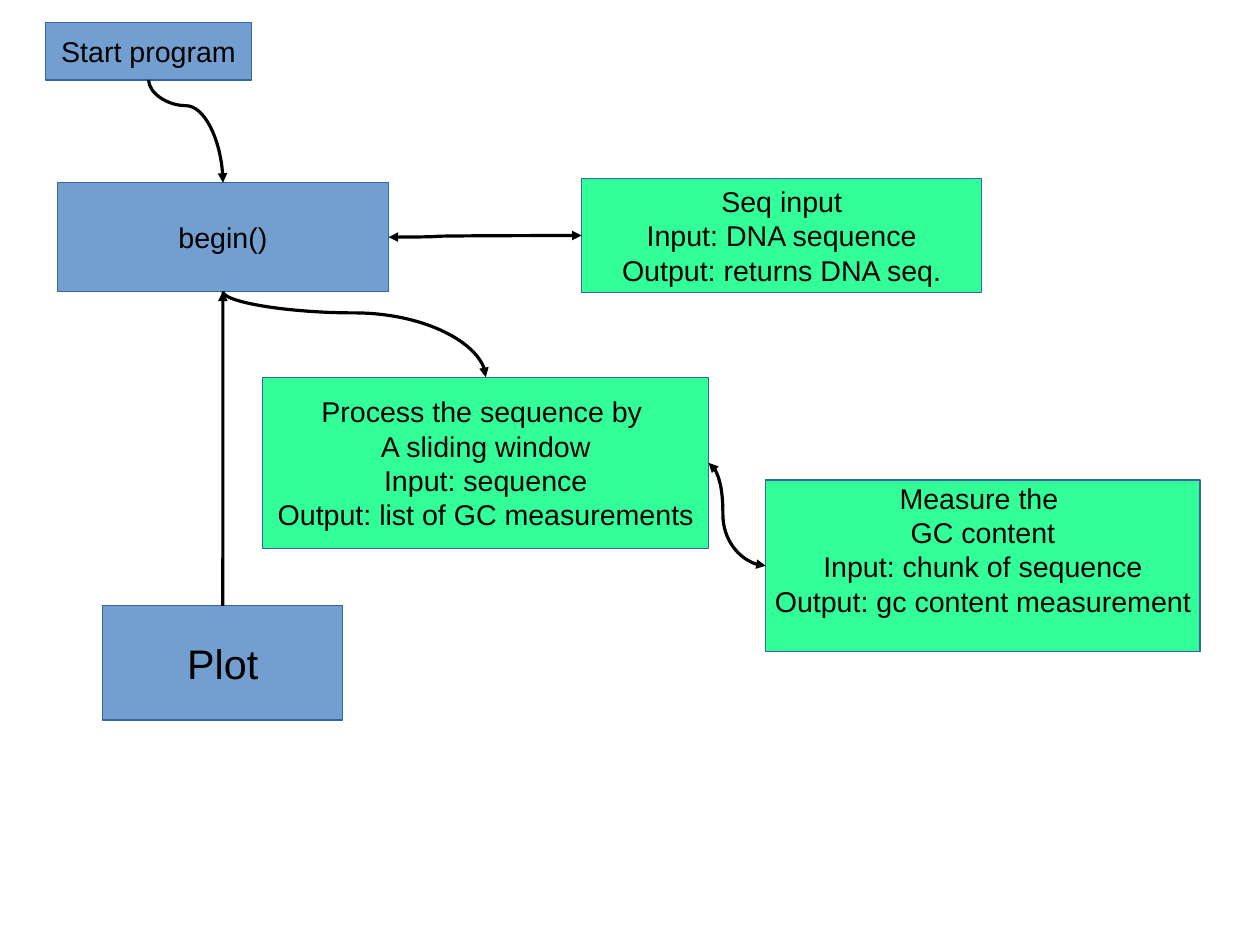
import dataclasses

import pptx
import pptx.dml.color
import pptx.enum.shapes
import pptx.enum.text
import pptx.oxml
import pptx.oxml.ns
import pptx.util

Pt = pptx.util.Pt
RGB = pptx.dml.color.RGBColor
qn = pptx.oxml.ns.qn
TOP, LEFT, BOTTOM, RIGHT = range(4)


@dataclasses.dataclass(frozen=True)
class Theme:
    font: str = "Arial"
    size: float = 18
    large: float = 26
    line_height: float = 20.7
    inset: float = 3.6
    text: RGB = RGB(0x00, 0x00, 0x00)
    main: RGB = RGB(0x72, 0x9F, 0xCF)
    function: RGB = RGB(0x33, 0xFF, 0x99)
    outline: RGB = RGB(0x34, 0x65, 0xA4)
    arrow: RGB = RGB(0x00, 0x00, 0x00)


class Flowchart:
    def __init__(self, slide, theme):
        self.s = slide
        self.theme = theme

    def box(self, lines, left, top, width, height, fill, size=None, lift=0):
        t = self.theme
        sp = self.s.shapes.add_shape(
            pptx.enum.shapes.MSO_SHAPE.RECTANGLE,
            Pt(left), Pt(top), Pt(width), Pt(height))
        sp.shadow.inherit = False
        sp.fill.solid()
        sp.fill.fore_color.rgb = fill
        sp.line.width = Pt(0)
        sp.line.color.rgb = t.outline
        tf = sp.text_frame
        tf.word_wrap = False
        tf.vertical_anchor = pptx.enum.text.MSO_ANCHOR.MIDDLE
        tf.margin_bottom = Pt(t.inset + lift)
        tf.text = "\n".join(lines)
        for p in tf.paragraphs:
            p.alignment = pptx.enum.text.PP_ALIGN.CENTER
            for r in p.runs:
                r.font.name = t.font
                r.font.size = Pt(size or t.size)
                r.font.color.rgb = t.text
        return sp

    def arrow(self, start, start_side, end, end_side, kind="CURVE", both=False):
        c = self.s.shapes.add_connector(
            pptx.enum.shapes.MSO_CONNECTOR[kind], 0, 0, 0, 0)
        c.begin_connect(start, start_side)
        c.end_connect(end, end_side)
        c.line.width = Pt(0)
        c.line.color.rgb = self.theme.arrow
        ln = c.line._ln
        for tag in ("a:headEnd", "a:tailEnd")[0 if both else 1:]:
            pptx.oxml.ns.qn(tag)
            ln.append(self.element(tag, type="triangle"))
        spPr = c._element.spPr
        spPr.append(self.element("a:effectLst"))
        if kind == "CURVE":
            spPr.find(qn("a:prstGeom")).find(qn("a:avLst")).append(
                self.element("a:gd", name="adj1", fmla="val 25000"))
            if start_side == BOTTOM:
                self.turn_down(c)
        return c

    def turn_down(self, c):
        dx, dy = c.end_x - c.begin_x, c.end_y - c.begin_y
        mid_x, mid_y = c.begin_x + dx // 2, c.begin_y + dy // 2
        c.left, c.top = mid_x - dy // 2, mid_y - dx // 2
        c.width, c.height = dy, dx
        xfrm = c._element.spPr.find(qn("a:xfrm"))
        xfrm.set("rot", "16200000")
        xfrm.set("flipH", "1")

    def element(self, tag, **attributes):
        el = pptx.oxml.parse_xml(
            f"<{tag} {pptx.oxml.ns.nsdecls('a')}/>")
        for name, value in attributes.items():
            el.set(name, value)
        return el


def main():
    prs = pptx.Presentation()
    prs.slide_width, prs.slide_height = Pt(793.7), Pt(595.28)
    t = Theme()
    chart = Flowchart(prs.slides.add_slide(prs.slide_layouts[6]), t)

    seq_input = chart.box(
        ["Seq input", "Input: DNA sequence", "Output: returns DNA seq."],
        366.4, 112.4, 252, 72, t.function)
    process = chart.box(
        ["Process the sequence by ", "A sliding window", "Input: sequence",
         "Output: list of GC measurements"],
        165.6, 237.6, 280.8, 108, t.function)
    measure = chart.box(
        ["Measure the ", "GC content", "Input: chunk of sequence",
         "Output: gc content measurement"],
        482.4, 302.4, 273.6, 108, t.function, lift=t.line_height)
    plot = chart.box(["Plot"], 64.8, 381.6, 151.2, 72, t.main, size=t.large)
    begin = chart.box(["begin()"], 36, 115.2, 208.8, 68.4, t.main)
    start = chart.box(["Start program"], 28.8, 14.4, 129.6, 36, t.main)

    chart.arrow(start, BOTTOM, begin, TOP)
    chart.arrow(begin, RIGHT, seq_input, LEFT, both=True)
    chart.arrow(begin, BOTTOM, process, TOP)
    chart.arrow(process, RIGHT, measure, LEFT, both=True)
    chart.arrow(plot, TOP, begin, BOTTOM, kind="STRAIGHT")

    prs.save("out.pptx")


if __name__ == "__main__":
    main()
